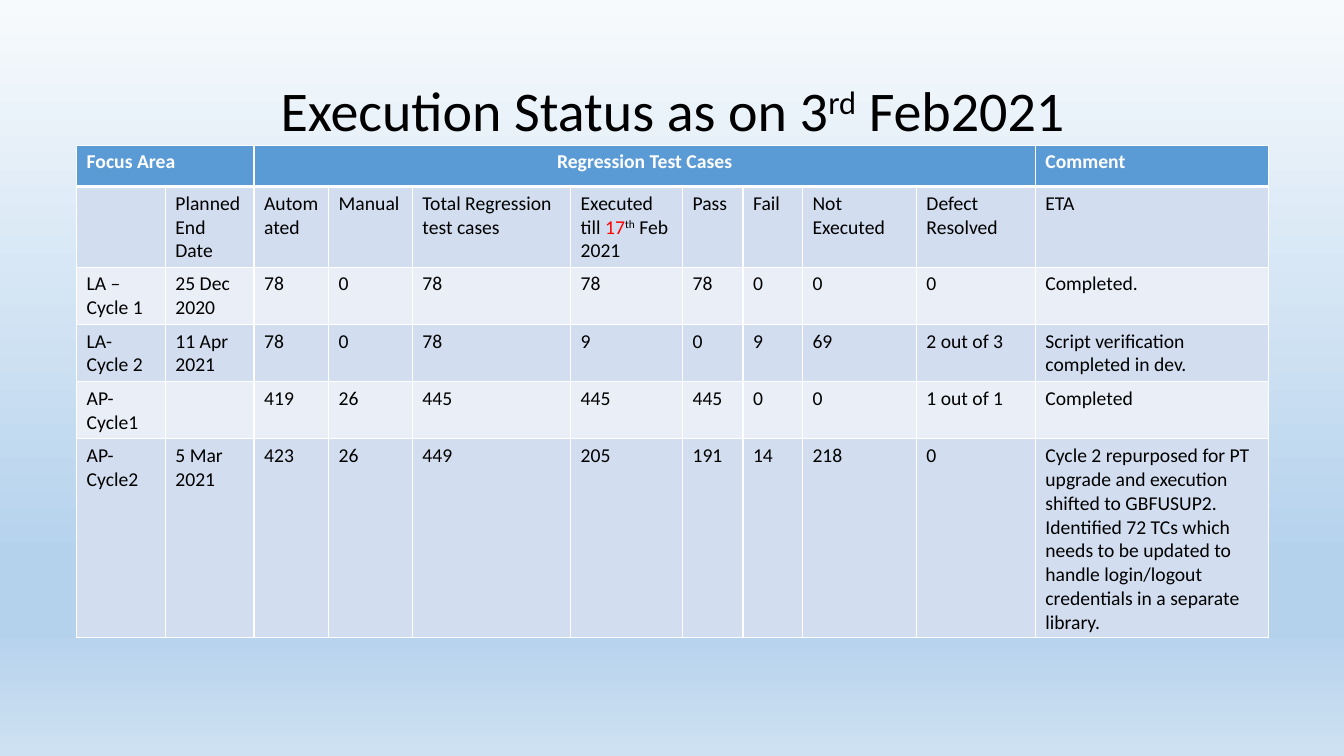
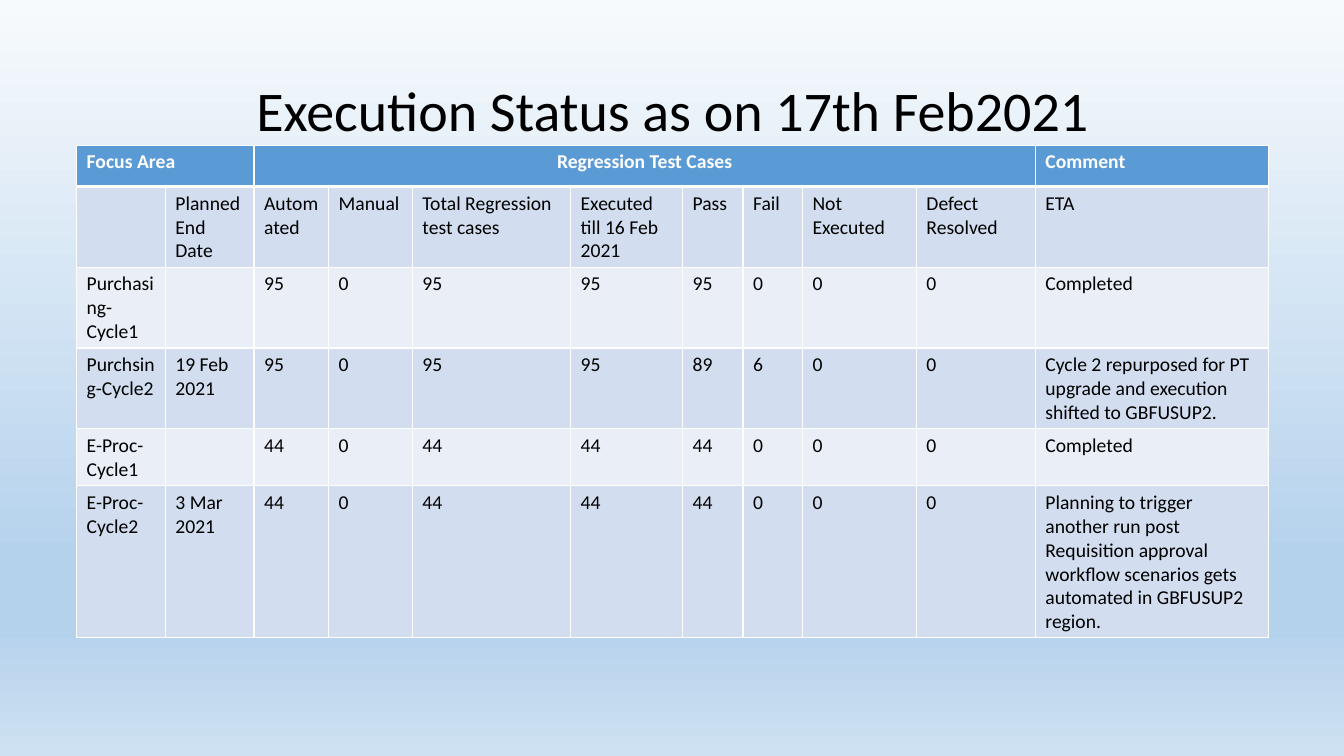
from lxml.etree import SubElement
from pptx import Presentation
from pptx.dml.color import RGBColor
from pptx.enum.text import MSO_ANCHOR, PP_ALIGN
from pptx.oxml.ns import qn
from pptx.util import Inches, Pt

FONT = "Calibri"
BLACK = RGBColor(0x00, 0x00, 0x00)
WHITE = RGBColor(0xFF, 0xFF, 0xFF)
RED = RGBColor(0xFF, 0x00, 0x00)
HEADER_BLUE = RGBColor(0x5B, 0x9B, 0xD5)
BAND_DARK = RGBColor(0xD2, 0xDE, 0xEF)
BAND_LIGHT = RGBColor(0xEA, 0xEF, 0xF7)
SKY = [  # share of the slide's height in percent, colour
    (0, RGBColor(0xF7, 0xFA, 0xFD)),
    (74, RGBColor(0xB5, 0xD2, 0xEC)),
    (83, RGBColor(0xB5, 0xD2, 0xEC)),
    (100, RGBColor(0xCE, 0xE1, 0xF2)),
]

# Text is a string, or a list of runs: (text, superscript, colour or None)
GROUPS = [("Focus Area", 2, PP_ALIGN.LEFT),
          ("Regression Test Cases", 8, PP_ALIGN.CENTER),
          ("Comment", 1, PP_ALIGN.LEFT)]
REPORTS = [
    {
        "title": [("Execution Status as on 3", False, None), ("rd", True, None),
                  (" Feb2021", False, None)],
        "executed": [("Executed till ", False, None), ("17", False, RED),
                     ("th", True, None), (" Feb 2021", False, None)],
        "cycles": [
            ("LA –Cycle 1", "25 Dec 2020", 78, 0, 78, 78, 78, 0, 0, 0, "Completed."),
            ("LA- Cycle 2", "11 Apr 2021", 78, 0, 78, 9, 0, 9, 69, "2 out of 3",
             "Script verification completed in dev."),
            ("AP-Cycle1", "", 419, 26, 445, 445, 445, 0, 0, "1 out of 1", "Completed"),
            ("AP-Cycle2", "5 Mar 2021", 423, 26, 449, 205, 191, 14, 218, 0,
             "Cycle 2 repurposed for PT upgrade and execution shifted to GBFUSUP2.\n"
             "Identified 72 TCs which needs to be updated to handle login/logout "
             "credentials in a separate library."),
        ],
    },
    {
        "title": "Execution Status as on 17th Feb2021",
        "executed": "Executed till 16 Feb 2021",
        "cycles": [
            ("Purchasing-Cycle1", "", 95, 0, 95, 95, 95, 0, 0, 0, "Completed"),
            ("Purchsing-Cycle2", "19 Feb 2021", 95, 0, 95, 95, 89, 6, 0, 0,
             "Cycle 2 repurposed for PT upgrade and execution shifted to GBFUSUP2."),
            ("E-Proc-Cycle1", "", 44, 0, 44, 44, 44, 0, 0, 0, "Completed"),
            ("E-Proc-Cycle2", "3 Mar 2021", 44, 0, 44, 44, 44, 0, 0, 0,
             "Planning to trigger another run post Requisition approval workflow "
             "scenarios gets automated in GBFUSUP2 region."),
        ],
    },
]

TITLE_BOX = [Inches(n) for n in (0.92, 0.4, 11.5, 1.45)]
TABLE_BOX = [Inches(n) for n in (0.76, 1.44, 11.81, 4.87)]
COLUMN_WIDTHS = (0.88, 0.88, 0.74, 0.83, 1.57, 1.11, 0.6, 0.59, 1.13, 1.18, 2.31)
ROW_HEIGHT = 0.41
THIN, THICK = 1, 3


def column_names(executed):
    """Return the second heading row around its dated column."""
    return ("", "Planned End Date", "Automated", "Manual",
            "Total Regression test cases", executed, "Pass", "Fail",
            "Not Executed", "Defect Resolved", "ETA")


def write(frame, content, size, color, bold=False, align=PP_ALIGN.LEFT):
    """Write the content run by run, with one paragraph per line."""
    if isinstance(content, list):
        lines = [content]
    else:
        lines = [[(line, False, None)] for line in str(content).split("\n")]
    for number, runs in enumerate(lines):
        paragraph = frame.add_paragraph() if number else frame.paragraphs[0]
        paragraph.alignment = align
        paragraph.font.size = Pt(size)
        for words, superscript, accent in runs:
            if not words:
                continue
            run = paragraph.add_run()
            run.text = words
            run.font.name = FONT
            run.font.size = Pt(size)
            run.font.bold = bold
            run.font.color.rgb = accent or color
            if superscript:
                run.font._element.set("baseline", "30000")


def paint_sky(master):
    """Give every slide the shared vertical gradient."""
    fill = master.background.fill
    fill.gradient()
    fill.gradient_angle = 270
    stops = master.element.find(".//" + qn("p:bg")).find(".//" + qn("a:gsLst"))
    for stop in list(stops):
        stops.remove(stop)
    for percent, color in SKY:
        stop = SubElement(stops, qn("a:gs"), pos=str(percent * 1000))
        SubElement(stop, qn("a:srgbClr"), val=str(color))


def style_cell(cell, fill, top=THIN, bottom=THIN):
    """Draw white borders around a cell, then fill it."""
    properties = cell._tc.get_or_add_tcPr()
    for side, width in (("L", THIN), ("R", THIN), ("T", top), ("B", bottom)):
        line = SubElement(properties, qn("a:ln" + side), w=str(Pt(width)))
        paint = SubElement(line, qn("a:solidFill"))
        SubElement(paint, qn("a:srgbClr"), val=str(WHITE))
    cell.fill.solid()
    cell.fill.fore_color.rgb = fill


def add_title(slide, title):
    """Add the centred slide title."""
    frame = slide.shapes.add_textbox(*TITLE_BOX).text_frame
    frame.word_wrap = True
    frame.vertical_anchor = MSO_ANCHOR.MIDDLE
    write(frame, title, 40, BLACK, align=PP_ALIGN.CENTER)
    frame.paragraphs[0].line_spacing = 0.9


def add_status_table(slide, rows):
    """Add the grouped header and the banded rows below it."""
    holder = slide.shapes.add_table(len(rows) + 1, len(COLUMN_WIDTHS), *TABLE_BOX)
    table = holder.table
    for column, width in zip(table.columns, COLUMN_WIDTHS):
        column.width = Inches(width)
    for row in table.rows:
        row.height = Inches(ROW_HEIGHT)
    holder.height = TABLE_BOX[3]

    for column in range(len(COLUMN_WIDTHS)):
        style_cell(table.cell(0, column), HEADER_BLUE, bottom=THICK)
    start = 0
    for label, span, align in GROUPS:
        heading = table.cell(0, start)
        if span > 1:
            heading.merge(table.cell(0, start + span - 1))
        write(heading.text_frame, label, 14, WHITE, True, align)
        start += span

    for number, entries in enumerate(rows, 1):
        band = BAND_DARK if number % 2 else BAND_LIGHT
        for column, entry in enumerate(entries):
            cell = table.cell(number, column)
            style_cell(cell, band, top=THICK if number == 1 else THIN)
            write(cell.text_frame, entry, 14, BLACK)


def main():
    """Build one slide per status report."""
    deck = Presentation()
    deck.slide_width, deck.slide_height = Inches(13.33), Inches(7.5)
    paint_sky(deck.slide_master)
    for report in REPORTS:
        slide = deck.slides.add_slide(deck.slide_layouts[6])
        add_title(slide, report["title"])
        add_status_table(slide, [column_names(report["executed"]), *report["cycles"]])
    deck.save("out.pptx")


main()
